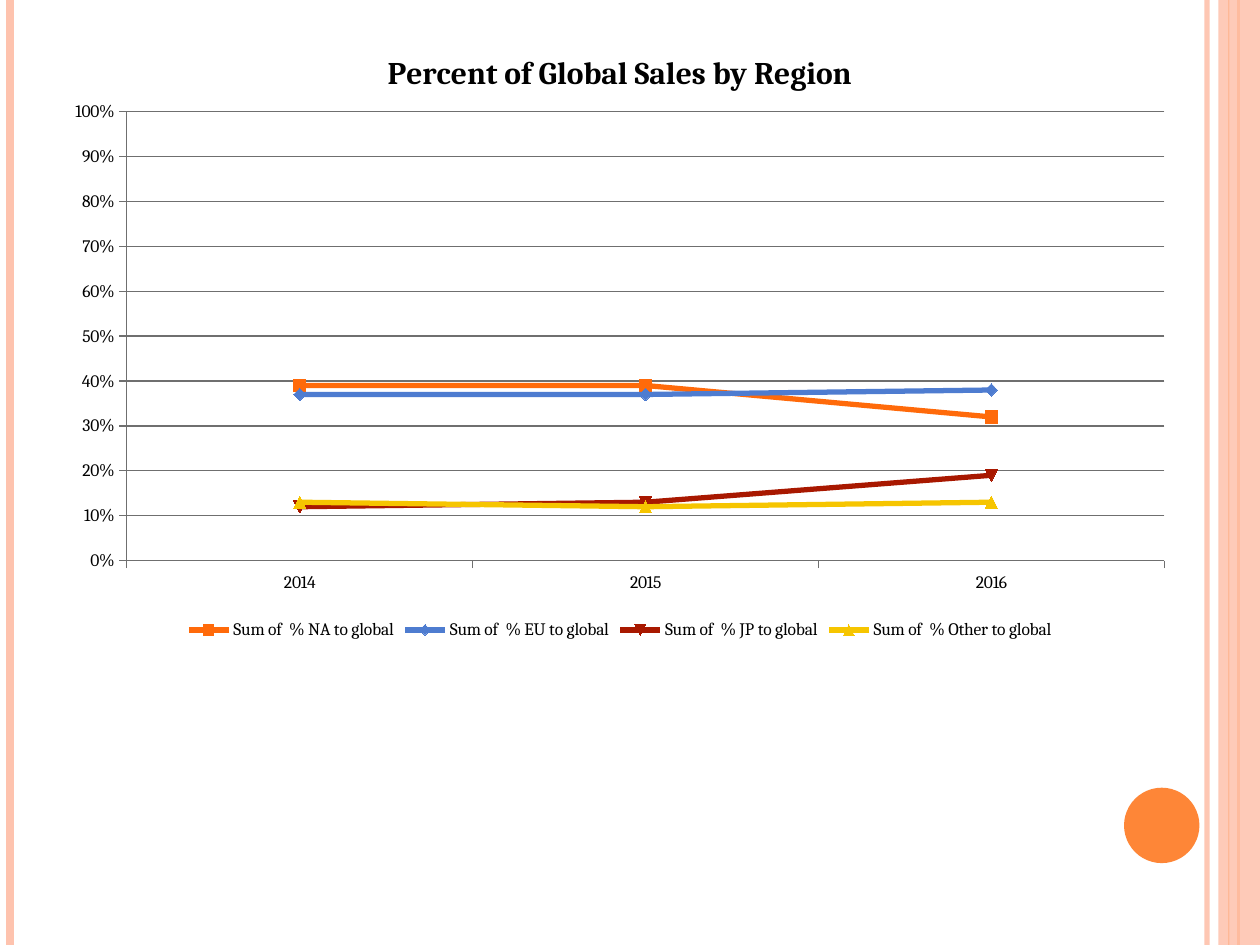
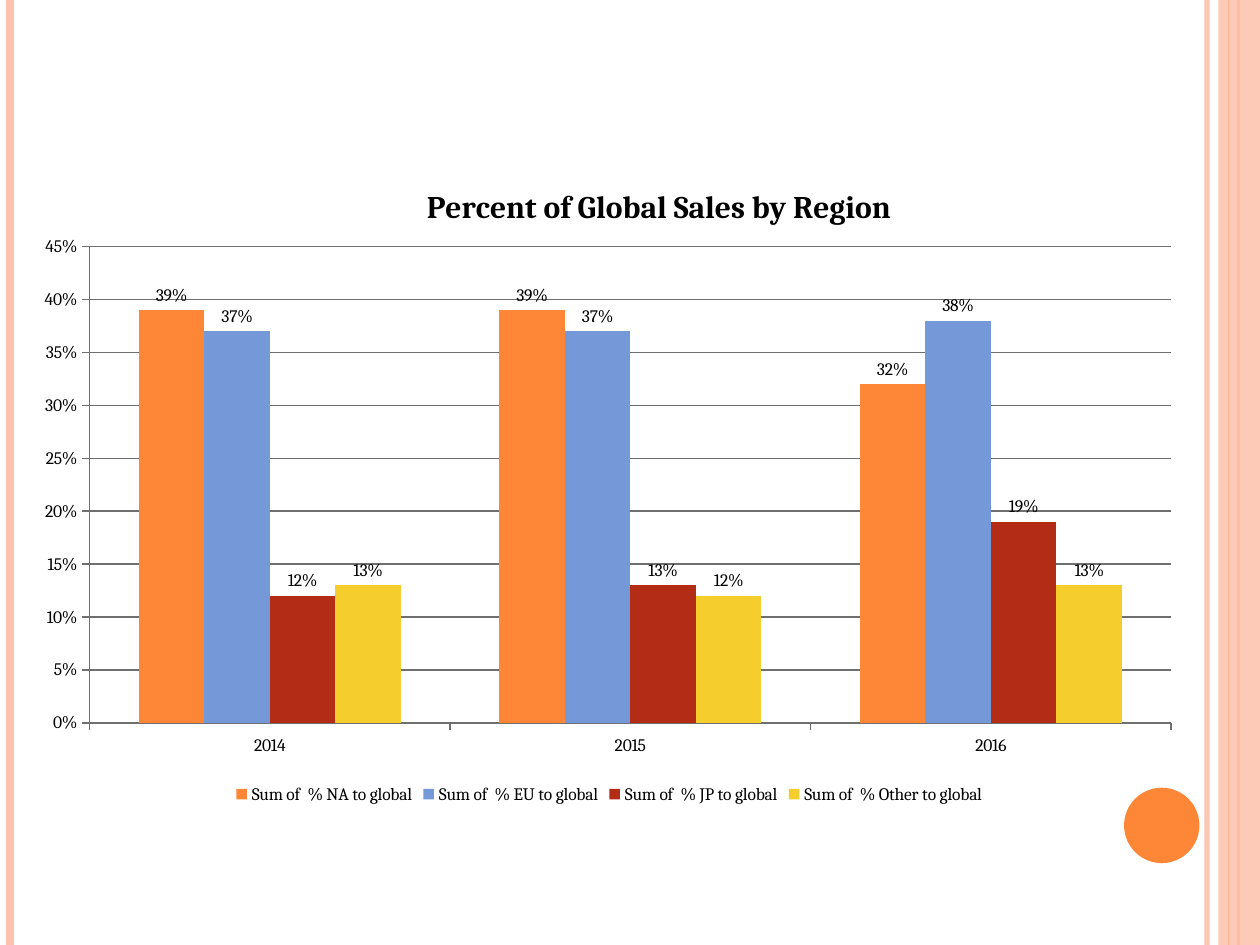
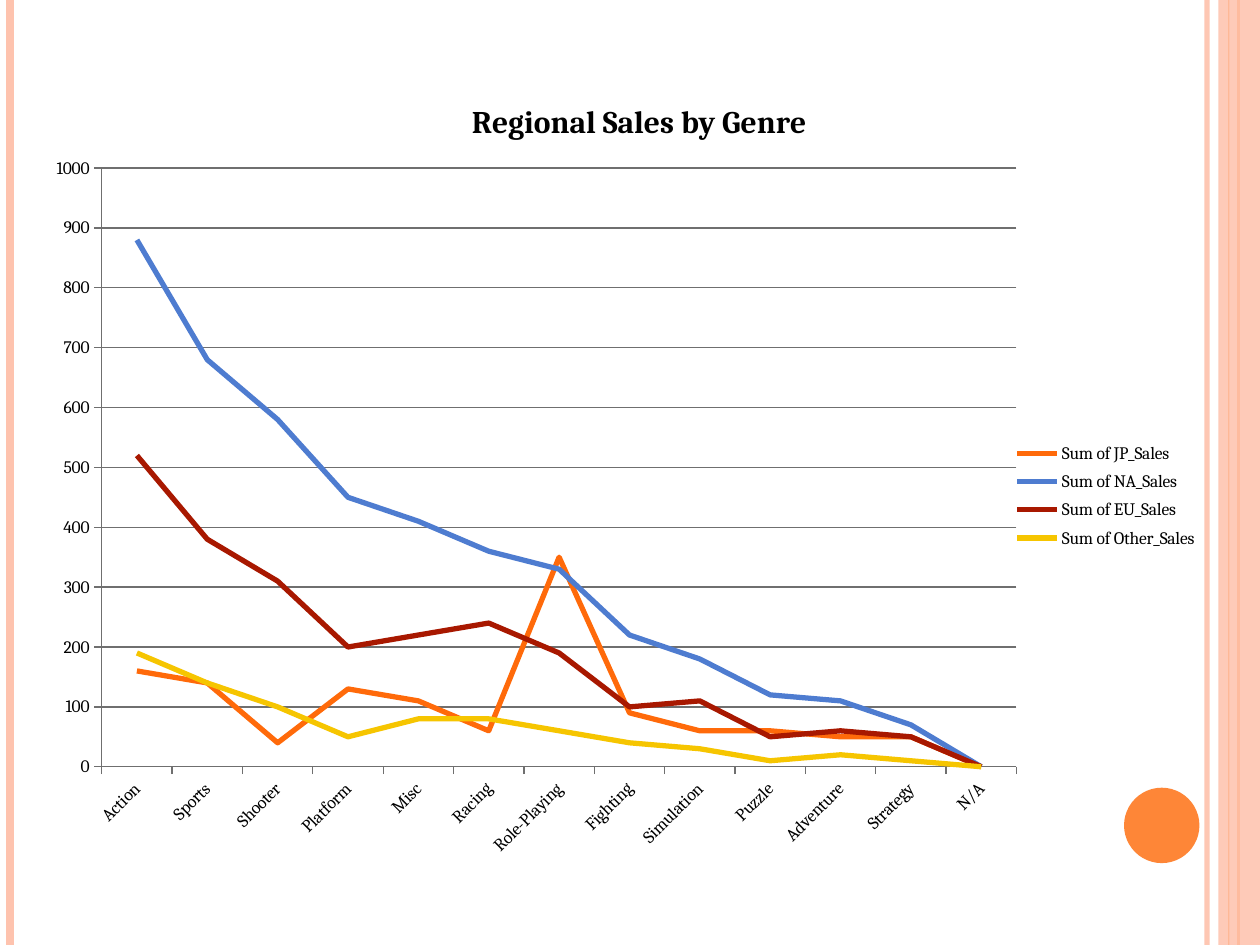
from lxml import etree
from pptx import Presentation
from pptx.chart.data import CategoryChartData
from pptx.dml.color import RGBColor
from pptx.enum.chart import XL_CHART_TYPE as Kind
from pptx.enum.chart import XL_LABEL_POSITION as LabelPosition
from pptx.enum.chart import XL_LEGEND_POSITION as LegendPosition
from pptx.enum.chart import XL_TICK_MARK as TickMark
from pptx.enum.shapes import MSO_CONNECTOR as Connector
from pptx.enum.shapes import MSO_SHAPE as Shape
from pptx.oxml.ns import qn
from pptx.util import Cm, Pt

WIDTH, HEIGHT = 25.4, 19.05
FONT = "Cambria"

BLACK = RGBColor(0x00, 0x00, 0x00)
GREY = RGBColor(0x6F, 0x6F, 0x6F)
PEACH = RGBColor(0xFE, 0xC3, 0xAE)
ORANGE = RGBColor(0xFE, 0x86, 0x37)
BLUE = RGBColor(0x75, 0x98, 0xD9)
RED = RGBColor(0xB3, 0x2C, 0x16)
YELLOW = RGBColor(0xF5, 0xCD, 0x2D)
DEEP_ORANGE = RGBColor(0xFF, 0x6A, 0x0A)
DEEP_BLUE = RGBColor(0x4E, 0x7C, 0xD0)
DEEP_RED = RGBColor(0xA8, 0x18, 0x00)
DEEP_YELLOW = RGBColor(0xF6, 0xC5, 0x00)

BAR_COLOURS = (ORANGE, BLUE, RED, YELLOW)
LINE_COLOURS = (DEEP_ORANGE, DEEP_BLUE, DEEP_RED, DEEP_YELLOW)

YEARS = ("2014", "2015", "2016")
REGION_TITLE = "Percent of Global Sales by Region"
REGION_SHARES = {
    "Sum of  % NA to global": (0.39, 0.39, 0.32),
    "Sum of  % EU to global": (0.37, 0.37, 0.38),
    "Sum of  % JP to global": (0.12, 0.13, 0.19),
    "Sum of  % Other to global": (0.13, 0.12, 0.13),
}
GENRES = ("Action", "Sports", "Shooter", "Platform", "Misc", "Racing", "Role-Playing",
          "Fighting", "Simulation", "Puzzle", "Adventure", "Strategy", "N/A")
GENRE_SALES = {
    "Sum of JP_Sales": (160, 140, 40, 130, 110, 60, 350, 90, 60, 60, 50, 50, 0),
    "Sum of NA_Sales": (880, 680, 580, 450, 410, 360, 330, 220, 180, 120, 110, 70, 0),
    "Sum of EU_Sales": (520, 380, 310, 200, 220, 240, 190, 100, 110, 50, 60, 50, 0),
    "Sum of Other_Sales": (190, 140, 100, 50, 80, 80, 60, 40, 30, 10, 20, 10, 0),
}


def set_alpha(element, percent):
    colour = next(element.iter(qn("a:srgbClr")))
    etree.SubElement(colour, qn("a:alpha")).set("val", str(percent * 1000))


def set_layout(parent, index, x, y, w=None, h=None, inner=False):
    for old in parent.findall(qn("c:layout")):
        parent.remove(old)
    layout = etree.Element(qn("c:layout"))
    manual = etree.SubElement(layout, qn("c:manualLayout"))
    settings = [("layoutTarget", "inner")] if inner else []
    settings += [("xMode", "edge"), ("yMode", "edge")]
    settings += [(name, value) for name, value in zip("xywh", (x, y, w, h)) if value is not None]
    for name, value in settings:
        etree.SubElement(manual, qn(f"c:{name}")).set("val", str(value))
    parent.insert(index, layout)


class SalesDeck:
    def __init__(self):
        self.deck = Presentation()
        self.deck.slide_width, self.deck.slide_height = Cm(WIDTH), Cm(HEIGHT)
        self.page = None

    def add_page(self):
        self.page = self.deck.slides.add_slide(self.deck.slide_layouts[6])
        self.add_stripe(24.33, PEACH, 3, alpha=93)
        self.add_stripe(0.21, PEACH, 4.5)
        self.add_stripe(24.97, ORANGE, 1.5)
        self.add_block(Shape.RECTANGLE, 24.56, 0, 0.84, HEIGHT, PEACH, alpha=87)
        self.add_stripe(24.77, ORANGE, 0.75, alpha=25)
        self.add_block(Shape.OVAL, 22.66, 15.88, 1.52, 1.52, ORANGE)

    def add_stripe(self, x, colour, weight, alpha=100):
        stripe = self.page.shapes.add_connector(
            Connector.STRAIGHT, Cm(x), Cm(0), Cm(x), Cm(HEIGHT))
        stripe.line.color.rgb = colour
        stripe.line.width = Pt(weight)
        properties = stripe._element.spPr
        if alpha < 100:
            set_alpha(properties, alpha)
        etree.SubElement(properties, qn("a:effectLst"))

    def add_block(self, kind, x, y, w, h, colour, alpha=100):
        block = self.page.shapes.add_shape(kind, Cm(x), Cm(y), Cm(w), Cm(h))
        block.shadow.inherit = False
        block.fill.solid()
        block.fill.fore_color.rgb = colour
        block.line.fill.background()
        if alpha < 100:
            set_alpha(block._element.spPr, alpha)

    def add_chart(self, kind, place, title, title_at, plot_at, categories, table,
                  top, step, number_format="General", legend=LegendPosition.BOTTOM):
        data = CategoryChartData(number_format=number_format)
        data.categories = categories
        for name, values in table.items():
            data.add_series(name, values)
        chart = self.page.shapes.add_chart(kind, *map(Cm, place), data).chart
        chart.font.name, chart.font.size = FONT, Pt(10)
        chart.font.color.rgb = BLACK
        self.style_title(chart, title, title_at)
        chart.has_legend = True
        chart.legend.position = legend
        chart.legend.include_in_layout = False
        self.style_axes(chart, top, step, number_format)
        plot = chart.plots[0]
        plot.vary_by_categories = False
        if kind == Kind.COLUMN_CLUSTERED:
            self.style_bars(plot, number_format)
        else:
            self.style_lines(plot, kind == Kind.LINE_MARKERS)
        set_layout(chart._chartSpace.chart.plotArea, 0, *plot_at, inner=True)
        return chart

    def style_title(self, chart, text, place):
        chart.has_title = True
        title = chart.chart_title
        title.include_in_layout = False
        title.text_frame.text = text
        font = title.text_frame.paragraphs[0].font
        font.name, font.size, font.bold = FONT, Pt(18), True
        font.color.rgb = BLACK
        set_layout(title._element, 1, *place)

    def style_axes(self, chart, top, step, number_format):
        values = chart.value_axis
        values.minimum_scale, values.maximum_scale, values.major_unit = 0, top, step
        values.has_major_gridlines = True
        values.tick_labels.number_format = number_format
        values.tick_labels.number_format_is_linked = False
        for axis in (chart.category_axis, values):
            axis.major_tick_mark = TickMark.OUTSIDE
            axis.minor_tick_mark = TickMark.NONE
        for part in (chart.category_axis, values, values.major_gridlines):
            part.format.line.color.rgb = GREY
            part.format.line.width = Pt(0.75)

    def style_bars(self, plot, number_format):
        plot.gap_width, plot.overlap = 150, 0
        for series, colour in zip(plot.series, BAR_COLOURS):
            series.format.fill.solid()
            series.format.fill.fore_color.rgb = colour
            labels = series.data_labels
            labels.show_value = True
            labels.position = LabelPosition.OUTSIDE_END
            labels.number_format = number_format
            labels.number_format_is_linked = False

    def style_lines(self, plot, with_markers):
        for series, colour in zip(plot.series, LINE_COLOURS):
            series.smooth = False
            series.format.line.color.rgb = colour
            series.format.line.width = Pt(3)
            if with_markers:
                marker = series.marker
                marker.size = 7
                marker.format.fill.solid()
                marker.format.fill.fore_color.rgb = colour
                marker.format.line.color.rgb = colour


def main():
    sales = SalesDeck()

    sales.add_page()
    sales.add_chart(Kind.LINE_MARKERS, (1.07, 0.43, 22.86, 12.57), REGION_TITLE,
                    (0.29, 0.04), (0.065, 0.145, 0.915, 0.72),
                    YEARS, REGION_SHARES, 1, 0.1, "0%")

    sales.add_page()
    sales.add_chart(Kind.COLUMN_CLUSTERED, (0.43, 2.97, 23.7, 13.34), REGION_TITLE,
                    (0.34, 0.05), (0.058, 0.15, 0.92, 0.72),
                    YEARS, REGION_SHARES, 0.45, 0.05, "0%")

    sales.add_page()
    genres = sales.add_chart(Kind.LINE, (0.64, 1.27, 24.33, 16.31), "Regional Sales by Genre",
                             (0.36, 0.04), (0.058, 0.13, 0.758, 0.74),
                             GENRES, GENRE_SALES, 1000, 100, legend=LegendPosition.RIGHT)
    set_layout(genres.legend._element, 1, 0.81, 0.46, 0.16, 0.15)
    labels = genres.category_axis.tick_labels
    labels.font.size = Pt(10)
    next(genres.category_axis._element.iter(qn("a:bodyPr"))).set("rot", "-2700000")

    sales.deck.save("out.pptx")


if __name__ == "__main__":
    main()
